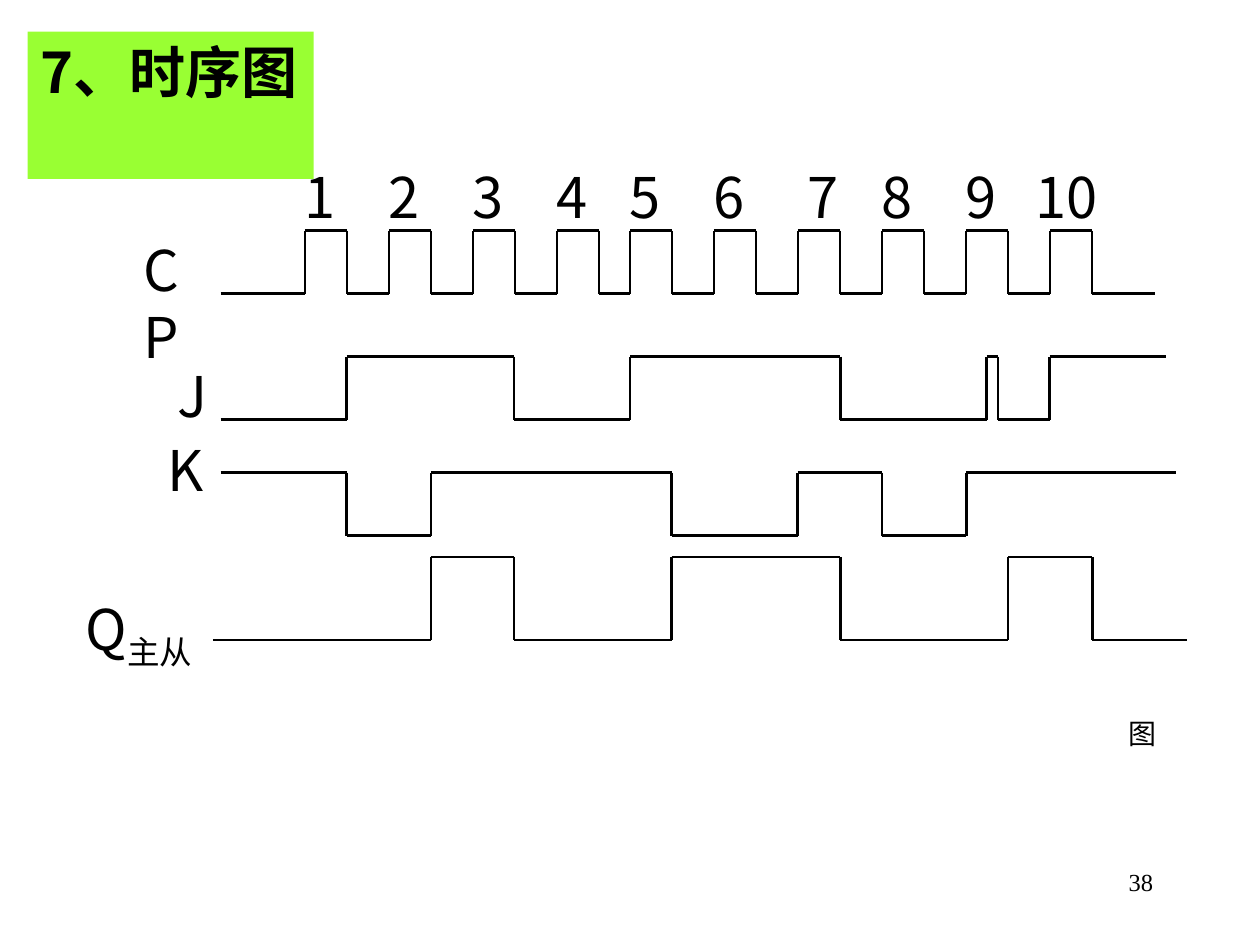
"""Build a timing-diagram slide for a master-slave JK flip-flop."""
from itertools import pairwise

from lxml import etree
from pptx import Presentation
from pptx import util as u
from pptx.dml.color import RGBColor
from pptx.enum import shapes, text
from pptx.oxml.ns import qn

BLACK = RGBColor(0x00, 0x00, 0x00)
LIME = RGBColor(0x99, 0xFF, 0x33)
SANS = "Noto Sans CJK SC"
PERIOD = 2 / 3
LABEL_HEIGHT = 0.64


def write(frame, content, size=32, font=SANS, bold=False, align=text.PP_ALIGN.LEFT, subscript=""):
    """Fill a text frame with one formatted paragraph and an optional subscript."""
    frame_format = {
        "word_wrap": True,
        "auto_size": text.MSO_AUTO_SIZE.NONE,
        "vertical_anchor": text.MSO_ANCHOR.TOP,
    }
    for name, value in frame_format.items():
        setattr(frame, name, value)
    paragraph = frame.paragraphs[0]
    paragraph.alignment = align
    for part, baseline in ((content, 0), (subscript, -25000)):
        if not part:
            continue
        run = paragraph.add_run()
        run.text = part
        for name, value in {"size": u.Pt(size), "bold": bold, "name": font}.items():
            setattr(run.font, name, value)
        run.font.color.rgb = BLACK
        properties = run._r.get_or_add_rPr()
        east_asian = etree.Element(qn("a:ea"), typeface=font)
        properties.find(qn("a:latin")).addnext(east_asian)
        if baseline:
            properties.set("baseline", str(baseline))


def add_title(slide, content):
    """Place the highlighted title at the top left."""
    title = slide.shapes.title
    place = {"left": 0.22, "top": 0.25, "width": 2.27, "height": 1.17}
    for name, value in place.items():
        setattr(title, name, u.Inches(value))
    title.fill.solid()
    title.fill.fore_color.rgb = LIME
    write(title.text_frame, content, bold=True)


def add_label(slide, content, left, top, width, height=LABEL_HEIGHT, **style):
    """Add a text box with one line of formatted text."""
    box = slide.shapes.add_textbox(*map(u.Inches, (left, top, width, height)))
    write(box.text_frame, content, **style)


def add_line(slide, start, end):
    """Draw one straight black segment without a shadow."""
    line = slide.shapes.add_connector(
        shapes.MSO_CONNECTOR.STRAIGHT, *map(u.Inches, (*start, *end))
    )
    line.line.color.rgb = BLACK
    line.line.width = u.Pt(1.5)
    etree.SubElement(line._element.spPr, qn("a:effectLst"))


def add_wave(slide, first_level, second_level, start, edges, end):
    """Draw a signal that switches between two levels at every edge."""
    level, other = first_level, second_level
    points = [(start, level)]
    for edge in edges:
        points += [(edge, level), (edge, other)]
        level, other = other, level
    points.append((end, level))
    for before, after in pairwise(points):
        add_line(slide, before, after)


def main():
    """Assemble and save the slide."""
    presentation = Presentation()
    presentation.slide_width = u.Inches(10)
    presentation.slide_height = u.Inches(7.5)
    slide = presentation.slides.add_slide(presentation.slide_layouts[5])
    add_title(slide, "7、时序图")

    rises = [2.42 + i * PERIOD for i in range(4)] + [5 + i * PERIOD for i in range(6)]
    clock_edges = [edge for rise in rises for edge in (rise, rise + PERIOD / 2)]
    waves = [
        (2.33, 1.83, 1.75, clock_edges, 9.17),
        (3.33, 2.83, 1.75, [2.75, 4.08, 5, 6.67, 7.83, 7.92, 8.33], 9.25),
        (3.75, 4.25, 1.75, [2.75, 3.42, 5.33, 6.33, 7, 7.67], 9.33),
        (5.08, 4.42, 1.69, [3.42, 4.08, 5.33, 6.67, 8, 8.67], 9.42),
    ]
    for wave in waves:
        add_wave(slide, *wave)

    nudges = {7: 0.08, 10: -0.11}
    for pulse, rise in enumerate(rises, 1):
        left = rise - 0.1 + nudges.get(pulse, 0)
        add_label(slide, str(pulse), left, 1.24, 0.73 if pulse > 9 else 0.47)

    signals = [("CP", 1.04, 1.82, 0.73), ("J", 1.31, 2.82, 0.47), ("K", 1.23, 3.41, 0.47)]
    for signal in signals:
        add_label(slide, *signal)
    add_label(slide, "Q", 0.58, 4.67, 1.27, 0.71, subscript="主从")
    add_label(slide, "图", 8.86, 5.64, 0.42, 0.37, size=16, font="Montserrat")
    add_label(slide, "38", 7.17, 6.83, 2.08, 0.5, size=14, font="Times New Roman",
              align=text.PP_ALIGN.RIGHT)
    presentation.save("out.pptx")


if __name__ == "__main__":
    main()
